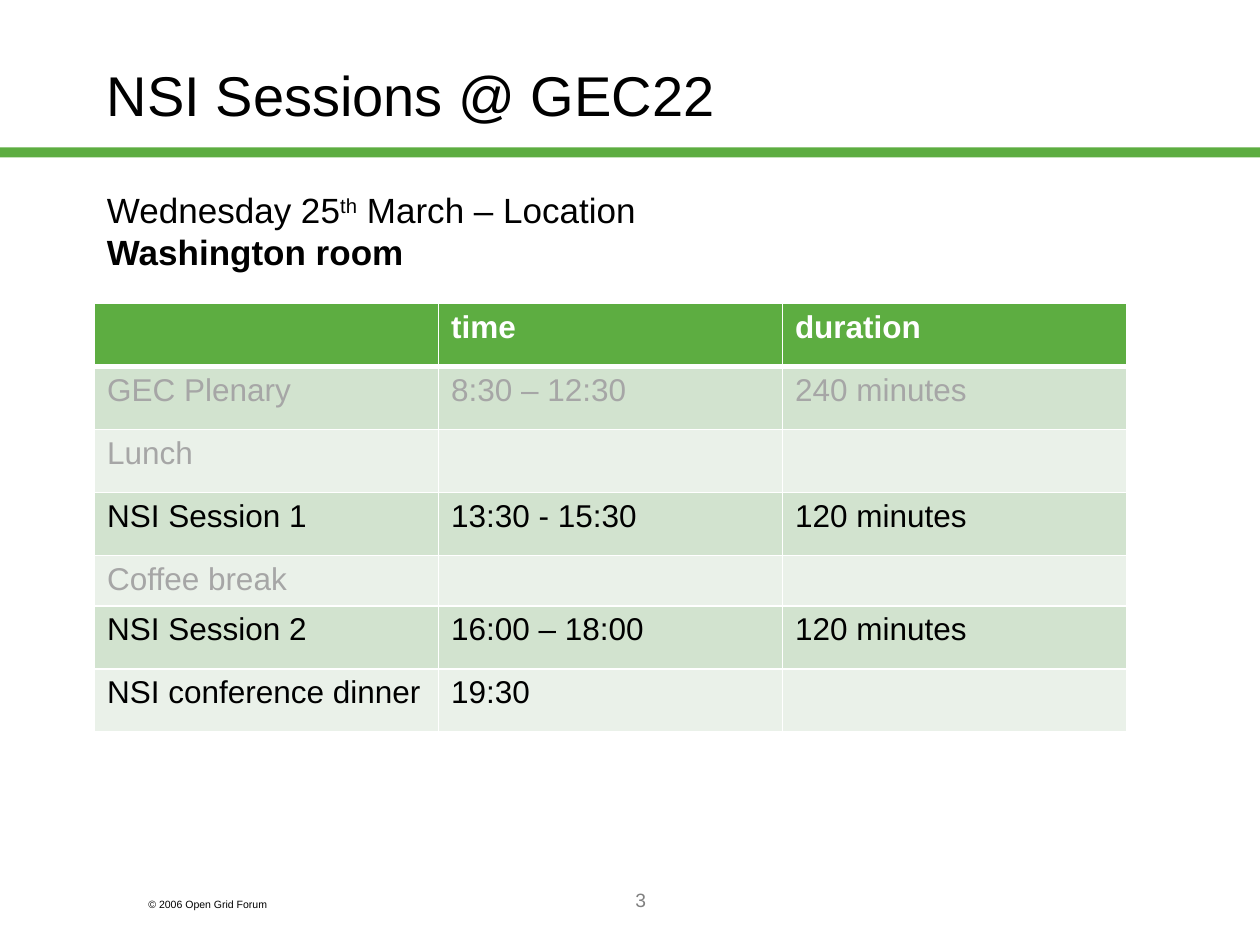
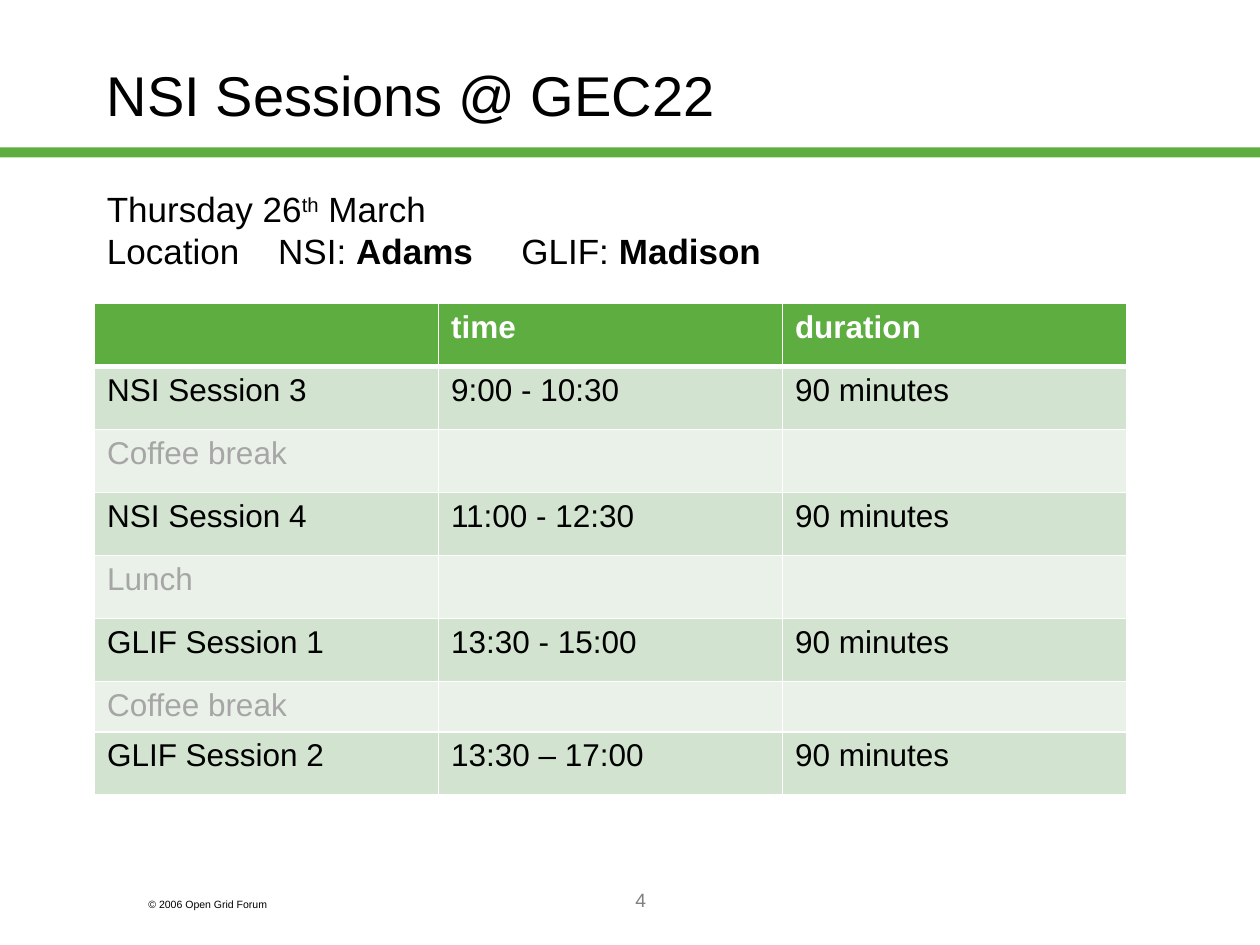
from pptx import Presentation
from pptx.dml.color import RGBColor
from pptx.enum.shapes import MSO_SHAPE
from pptx.enum.text import MSO_ANCHOR, PP_ALIGN
from pptx.oxml import parse_xml
from pptx.oxml.ns import nsdecls
from pptx.util import Inches, Pt

FONT = "Arial"
BLACK = RGBColor(0x00, 0x00, 0x00)
WHITE = RGBColor(0xFF, 0xFF, 0xFF)
GREEN = RGBColor(0x5D, 0xAD, 0x41)
BAND_DARK = RGBColor(0xD2, 0xE3, 0xCF)
BAND_LIGHT = RGBColor(0xEA, 0xF1, 0xE9)
MUTED = RGBColor(0xA6, 0xA6, 0xA6)
PAGE_GREY = RGBColor(0x80, 0x80, 0x80)

TITLE = "NSI Sessions @ GEC22"
COPYRIGHT = "© 2006 Open Grid Forum"
HEADINGS = ("", "time", "duration")
OUTSIDE_NSI = {"GEC Plenary", "Lunch", "Coffee break"}
COLUMN_WIDTH = 2.73
ROW_HEIGHT, BREAK_HEIGHT = 0.5, 0.4

DAYS = [
    {
        "page": "3",
        "intro": [
            [("Wednesday 25", ""), ("th", "super"), (" March – Location", "")],
            [("Washington room", "bold")],
        ],
        "intro_box": (0.75, 1.45, 4.41, 0.71),
        "short_row": 4,
        "sessions": [
            ("GEC Plenary", "8:30 – 12:30", "240 minutes"),
            ("Lunch", "", ""),
            ("NSI Session 1", "13:30 - 15:30", "120 minutes"),
            ("Coffee break", "", ""),
            ("NSI Session 2", "16:00 – 18:00", "120 minutes"),
            ("NSI conference dinner", "19:30", ""),
        ],
    },
    {
        "page": "4",
        "intro": [
            [("Thursday 26", ""), ("th", "super"), (" March", "")],
            [("Location\tNSI: ", ""), ("Adams", "bold"),
             ("\tGLIF: ", ""), ("Madison", "bold")],
        ],
        "intro_box": (0.75, 1.44, 6.9, 0.97),
        "short_row": 6,
        "sessions": [
            ("NSI Session 3", "9:00 - 10:30", "90 minutes"),
            ("Coffee break", "", ""),
            ("NSI Session 4", "11:00 - 12:30", "90 minutes"),
            ("Lunch", "", ""),
            ("GLIF Session 1", "13:30 - 15:00", "90 minutes"),
            ("Coffee break", "", ""),
            ("GLIF Session 2", "13:30 – 17:00", "90 minutes"),
        ],
    },
]


def write(frame, text, size=18, color=BLACK, bold=False, align=PP_ALIGN.LEFT,
          line_spacing=None, anchor=MSO_ANCHOR.TOP, tabs=()):
    """Fill a frame with a string, or with lines of (text, style) runs."""
    frame.word_wrap = True
    frame.vertical_anchor = anchor
    lines = [[(text, "")]] if isinstance(text, str) else text
    for number, line in enumerate(lines):
        paragraph = frame.paragraphs[0] if number == 0 else frame.add_paragraph()
        paragraph.alignment = align
        if line_spacing:
            paragraph.line_spacing = line_spacing
        if tabs:
            stops = "".join(f'<a:tab pos="{Inches(stop)}" algn="l"/>' for stop in tabs)
            paragraph._p.get_or_add_pPr().append(
                parse_xml(f'<a:tabLst {nsdecls("a")}>{stops}</a:tabLst>'))
        paragraph.font.size = Pt(size)
        for words, style in line:
            if not words:
                continue
            run = paragraph.add_run()
            run.text = words
            run.font.name = FONT
            run.font.size = Pt(size)
            run.font.color.rgb = color
            run.font.bold = bold or style == "bold"
            if style == "super":
                run._r.get_or_add_rPr().set("baseline", "30000")


def add_borders(cell, **widths):
    """Draw white cell edges; widths in points are keyed L, R, T and B."""
    properties = cell._tc.get_or_add_tcPr()
    for side, width in widths.items():
        properties.append(parse_xml(
            f'<a:ln{side} {nsdecls("a")} w="{Pt(width)}"><a:solidFill>'
            f'<a:srgbClr val="{WHITE}"/></a:solidFill></a:ln{side}>'))


prs = Presentation()
prs.slide_width, prs.slide_height = Inches(10), Inches(7.5)

for day in DAYS:
    slide = prs.slides.add_slide(prs.slide_layouts[6])

    rule = slide.shapes.add_shape(
        MSO_SHAPE.RECTANGLE, 0, Inches(1.17), prs.slide_width, Inches(0.08))
    rule.shadow.inherit = False
    rule.fill.solid()
    rule.fill.fore_color.rgb = GREEN
    rule.line.fill.background()

    for box, text, style in (
        ((1.08, 7.08, 1.5, 0.2), COPYRIGHT, {"size": 6}),
        ((2.17, 7, 5.83, 0.5), day["page"],
         {"size": 11, "color": PAGE_GREY, "align": PP_ALIGN.CENTER}),
        ((0.75, 0.17, 8.5, 1.25), TITLE,
         {"size": 32, "line_spacing": 0.8, "anchor": MSO_ANCHOR.MIDDLE}),
        (day["intro_box"], day["intro"], {"size": 20, "tabs": (1.36, 3.29)}),
    ):
        textbox = slide.shapes.add_textbox(*map(Inches, box))
        write(textbox.text_frame, text, **style)

    rows = [HEADINGS] + day["sessions"]
    heights = [BREAK_HEIGHT if number == day["short_row"] else ROW_HEIGHT
               for number in range(len(rows))]
    schedule = slide.shapes.add_table(
        len(rows), len(HEADINGS), Inches(0.75), Inches(2.41),
        Inches(COLUMN_WIDTH * len(HEADINGS)), Inches(sum(heights))).table
    schedule.horz_banding = False
    for column in schedule.columns:
        column.width = Inches(COLUMN_WIDTH)
    for number, (row, height) in enumerate(zip(rows, heights)):
        schedule.rows[number].height = Inches(height)
        is_header = number == 0
        if is_header:
            fill, color = GREEN, WHITE
        else:
            fill = BAND_DARK if number % 2 else BAND_LIGHT
            color = MUTED if row[0] in OUTSIDE_NSI else BLACK
        for column, text in enumerate(row):
            cell = schedule.cell(number, column)
            add_borders(cell, L=1, R=1, T=3 if number == 1 else 1,
                        B=3 if is_header else 1)
            cell.fill.solid()
            cell.fill.fore_color.rgb = fill
            write(cell.text_frame, text, color=color, bold=is_header)

prs.save("out.pptx")
